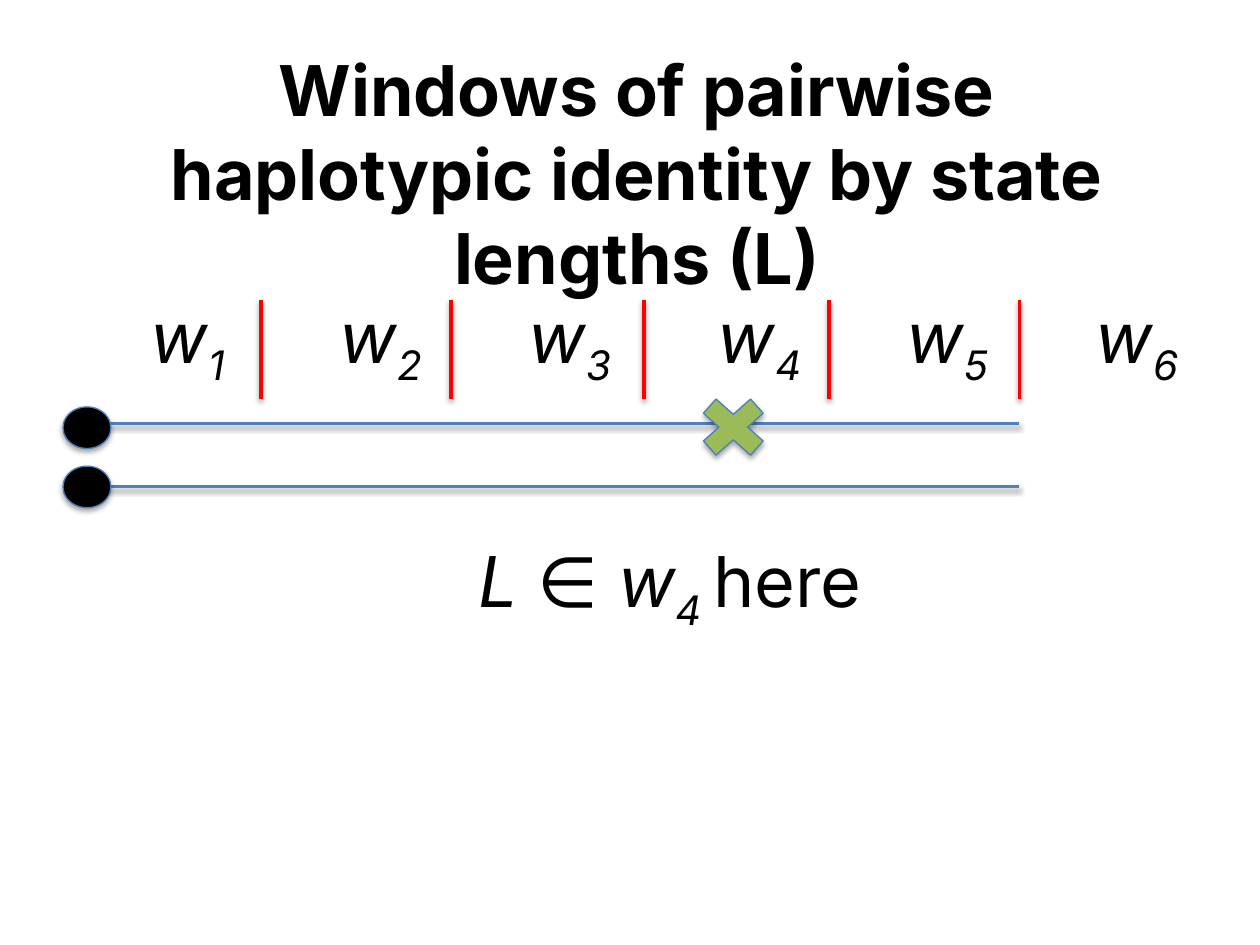
from lxml import etree
from pptx import Presentation
from pptx.dml.color import RGBColor
from pptx.enum.shapes import MSO_CONNECTOR as CONN, MSO_SHAPE as SHAPE
from pptx.enum.text import PP_ALIGN
from pptx.oxml.ns import qn
from pptx.util import Inches, Pt

BLACK = RGBColor(0x00, 0x00, 0x00)
RED = RGBColor(0xFF, 0x00, 0x00)
BLUE = RGBColor(0x4F, 0x81, 0xBD)
OUTLINE = RGBColor(0x4B, 0x7E, 0xBC)
GREEN = RGBColor(0x9B, 0xBB, 0x59)
FONT, SYMBOL_FONT, SIZE = "Inter", "Calibri", 40
WINDOWS = 6
PITCH = 1.5  # distance between window labels


def add_shadow(s, alpha, dist):
    spPr = s._element.spPr
    for old in spPr.findall(qn("a:effectLst")):
        spPr.remove(old)
    effects = etree.SubElement(spPr, qn("a:effectLst"))
    shadow = etree.SubElement(effects, qn("a:outerShdw"), blurRad=str(Pt(3.1)),
                              dist=str(Pt(dist)), dir="5400000", rotWithShape="0")
    color = etree.SubElement(shadow, qn("a:srgbClr"), val=str(BLACK))
    etree.SubElement(color, qn("a:alpha"), val=str(alpha * 1000))


def add_line(slide, x1, y1, x2, y2, color):
    s = slide.shapes.add_connector(CONN.STRAIGHT, *map(Inches, (x1, y1, x2, y2)))
    s.line.color.rgb = color
    s.line.width = Pt(2)
    add_shadow(s, 38, 1.6)


def add_marker(slide, kind, box, fill):
    s = slide.shapes.add_shape(kind, *map(Inches, box))
    s.fill.solid()
    s.fill.fore_color.rgb = fill
    s.line.color.rgb = OUTLINE
    s.line.width = Pt(0.75)
    add_shadow(s, 35, 1.8)


def add_text(slide, box):
    tf = slide.shapes.add_textbox(*map(Inches, box)).text_frame
    tf.word_wrap = True
    return tf.paragraphs[0]


def add_run(p, text, italic=True, bold=False, sub=False, font=FONT):
    r = p.add_run()
    r.text = text
    f = r.font
    f.name, f.size, f.italic, f.bold = font, Pt(SIZE), italic, bold
    f.color.rgb = BLACK
    if sub:
        r._r.get_or_add_rPr().set("baseline", "-25000")


def title(slide, box):
    p = add_text(slide, box)
    p.alignment = PP_ALIGN.CENTER
    add_run(p, "Windows of pairwise haplotypic identity by state lengths (L)",
            italic=False, bold=True)


def window_labels(slide, box):
    p = add_text(slide, box)
    tabs = etree.SubElement(p._p.get_or_add_pPr(), qn("a:tabLst"))
    for i in range(1, WINDOWS + 1):
        if i > 1:
            etree.SubElement(tabs, qn("a:tab"), pos=str(Inches(PITCH * (i - 1))), algn="l")
        add_run(p, "w" if i == 1 else "\tw")
        add_run(p, str(i), sub=True)


def haplotypes(slide, left, top, width):
    """Two haplotype lines with window borders above and a mismatch on the first."""
    right = left + width
    # Upper line and window borders
    add_line(slide, left + 0.14, top + 0.98, right, top + 0.98, BLUE)
    for x in (1.57, 3.08, 4.61, 6.08, width):
        add_line(slide, left + x, top, left + x, top + 0.79, RED)
    window_labels(slide, (left + 0.6, top - 0.1, 9.33, 0.77))
    # Lower line, focal points and mismatch
    add_line(slide, left + 0.14, top + 1.48, right, top + 1.48, BLUE)
    for y in (0.85, 1.32):
        add_marker(slide, SHAPE.OVAL, (left, top + y, 0.38, 0.33), BLACK)
    add_marker(slide, SHAPE.MATH_MULTIPLY, (left + 4.96, top + 0.69, 0.72, 0.64), GREEN)


def conclusion(slide, box):
    p = add_text(slide, box)
    add_run(p, "L ")
    add_run(p, "∈", font=SYMBOL_FONT)
    add_run(p, " w")
    add_run(p, "4 ", sub=True)
    add_run(p, "here", italic=False)


prs = Presentation()
prs.slide_width, prs.slide_height = Inches(10), Inches(7.5)
slide = prs.slides.add_slide(prs.slide_layouts[6])
haplotypes(slide, 0.5, 2.38, 7.59)
conclusion(slide, (3.7, 4.22, 5.77, 0.77))
title(slide, (0.64, 0.32, 8.83, 1.45))
prs.save("out.pptx")
